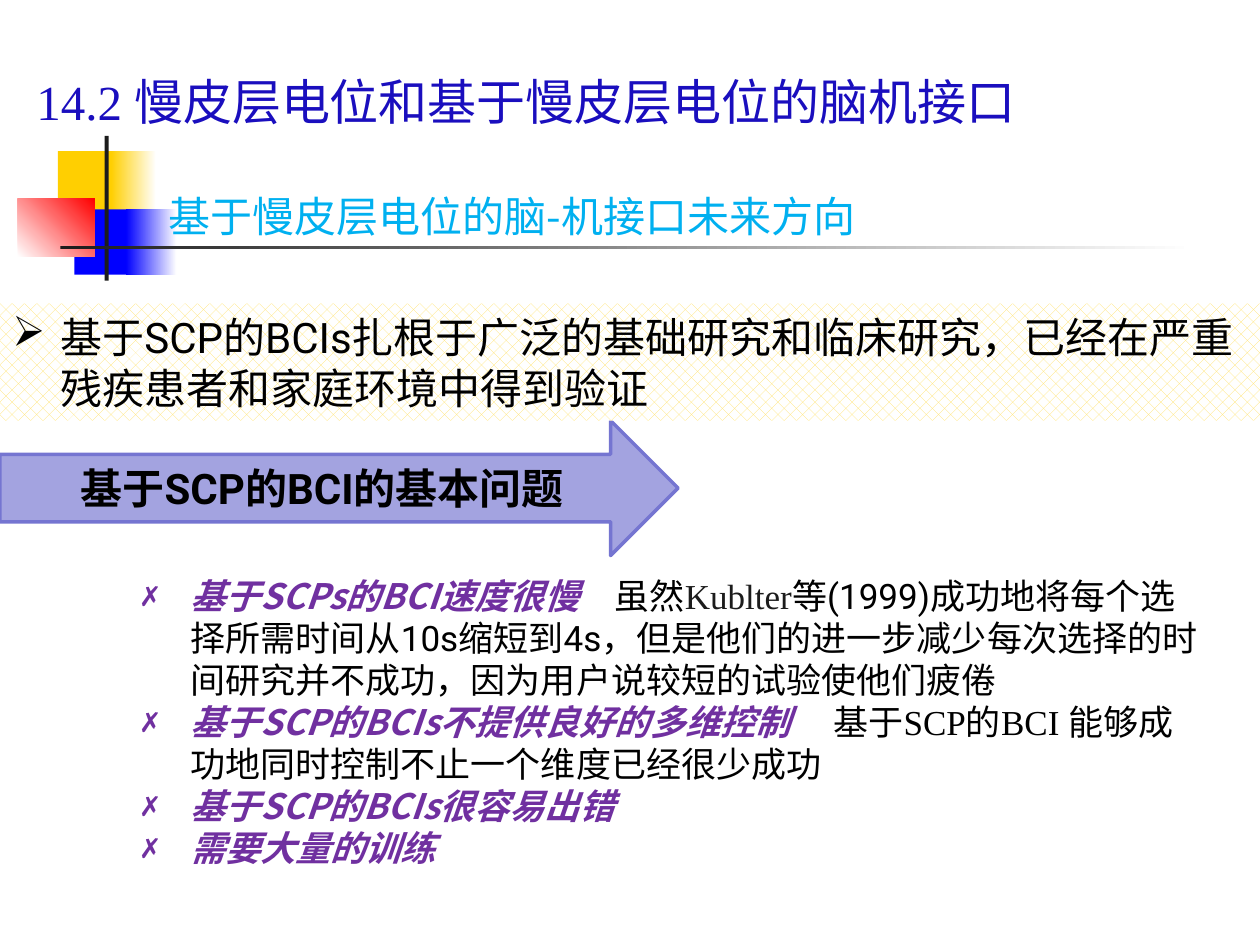
"""Build the slide on the future of SCP-based brain-computer interfaces."""
from dataclasses import dataclass
from typing import Optional

from lxml import etree
from pptx import Presentation, util as u
from pptx.dml.color import RGBColor
from pptx.enum import dml, shapes, text
from pptx.oxml.ns import qn

YELLOW = RGBColor(0xFF, 0xCF, 0x01)
BLUE = RGBColor(0x00, 0x00, 0xFF)
RED = RGBColor(0xFF, 0x00, 0x00)
WHITE = RGBColor(0xFF, 0xFF, 0xFF)
CHARCOAL = RGBColor(0x1C, 0x1C, 0x1C)
BLACK = RGBColor(0x00, 0x00, 0x00)
NAVY = RGBColor(0x1A, 0x0E, 0xBE)
SKY = RGBColor(0x00, 0xB0, 0xF0)
PURPLE = RGBColor(0x70, 0x30, 0xA0)
LILAC = RGBColor(0xA3, 0xA3, 0xE0)
VIOLET = RGBColor(0x75, 0x75, 0xD1)
PALE_GOLD = RGBColor(0xFF, 0xE2, 0x67)
CJK, SANS, SERIF = "Noto Sans CJK SC", "Roboto", "Times New Roman"
LINE_FACTOR = 1.2
INDENT = u.Cm(0.97)


@dataclass
class Box:
    left: float
    top: float
    width: float
    height: float

    def lengths(self) -> list:
        return [u.Cm(v) for v in (self.left, self.top, self.width, self.height)]


@dataclass
class Block:
    box: Box
    color: RGBColor
    fade_to: Optional[RGBColor] = None
    angle: float = 0


@dataclass
class Problem:
    heading: str
    details: tuple = ()


BLOCKS = [
    Block(Box(1.17, 3.05, 1.22, 1.32), YELLOW),
    Block(Box(2.24, 3.05, 0.91, 1.32), YELLOW, WHITE),
    Block(Box(1.5, 4.22, 1.17, 1.32), BLUE),
    Block(Box(2.54, 4.22, 1.02, 1.32), BLUE, WHITE),
    Block(Box(0.36, 4.01, 1.55, 1.17), WHITE, RED, 45),
    Block(Box(2.11, 2.74, 0.08, 2.92), CHARCOAL),
    Block(Box(1.22, 4.95, 22.86, 0.08), CHARCOAL, WHITE),
]

PROBLEMS = [
    Problem("基于SCPs的BCI速度很慢　", (
        ("虽然", SANS, BLACK),
        ("Kublter", SERIF, CHARCOAL),
        ("等(1999)成功地将每个选择所需时间从10s缩短到4s，但是他们的进一步减少每次选择的"
         "时间研究并不成功，因为用户说较短的试验使他们疲倦", SANS, BLACK),
    )),
    Problem("基于SCP的BCIs不提供良好的多维控制　 ", (
        ("基于SCP的BCI 能够成功地同时控制不止一个维度已经很少成功", SERIF, BLACK),
    )),
    Problem("基于SCP的BCIs很容易出错"),
    Problem("需要大量的训练"),
]


def add_text(p, content: str, *, size: float, font: str, color: RGBColor,
             bold: bool = False, italic: bool = False) -> None:
    """Add one formatted run and fix the line pitch of its paragraph."""
    r = p.add_run()
    r.text = content
    f = r.font
    f.size, f.name, f.bold, f.italic = u.Pt(size), font, bold, italic
    f.color.rgb = color
    etree.SubElement(r._r.get_or_add_rPr(), qn("a:ea")).set("typeface", CJK)
    p.line_spacing = u.Pt(size * LINE_FACTOR)


def add_bullet(p, char: str) -> None:
    """Give a paragraph a hanging bullet."""
    p.alignment = text.PP_ALIGN.LEFT
    pPr = p._p.get_or_add_pPr()
    pPr.set("marL", str(INDENT))
    pPr.set("indent", str(-INDENT))
    etree.SubElement(pPr, qn("a:buChar")).set("char", char)


def add_shape(s, kind, box: Box):
    """Add a preset shape without shadow or outline."""
    sp = s.shapes.add_shape(kind, *box.lengths())
    sp.shadow.inherit = False
    sp.line.fill.background()
    sp.text_frame.word_wrap = True
    sp.text_frame.vertical_anchor = text.MSO_ANCHOR.MIDDLE
    return sp


def add_block(s, block: Block) -> None:
    """Draw one solid or fading block of the ornament."""
    fill = add_shape(s, shapes.MSO_SHAPE.RECTANGLE, block.box).fill
    if block.fade_to is None:
        fill.solid()
        fill.fore_color.rgb = block.color
        return
    fill.gradient()
    fill.gradient_angle = block.angle
    for stop, color in zip(fill.gradient_stops, (block.color, block.fade_to)):
        stop.color.rgb = color


def add_textbox(s, box: Box):
    """Add a wrapping text box and return its text frame."""
    tf = s.shapes.add_textbox(*box.lengths()).text_frame
    tf.word_wrap = True
    return tf


def add_title(s) -> None:
    """Place and format the title."""
    sp = s.shapes.title
    sp.left, sp.top, sp.width, sp.height = Box(0.48, 1.12, 23.9, 1.63).lengths()
    tf = sp.text_frame
    tf.auto_size = text.MSO_AUTO_SIZE.NONE
    tf.vertical_anchor = text.MSO_ANCHOR.BOTTOM
    p = tf.paragraphs[0]
    p.alignment = text.PP_ALIGN.LEFT
    add_text(p, "14.2 慢皮层电位和基于慢皮层电位的脑机接口",
             size=28, font=SERIF, color=NAVY)


def add_arrow(s) -> None:
    """Draw the arrow that introduces the problems."""
    sp = add_shape(s, shapes.MSO_SHAPE.RIGHT_ARROW, Box(0, 8.48, 13.67, 2.72))
    sp.fill.solid()
    sp.fill.fore_color.rgb = LILAC
    sp.line.color.rgb = VIOLET
    sp.line.width = u.Pt(2)
    p = sp.text_frame.paragraphs[0]
    p.alignment = text.PP_ALIGN.CENTER
    add_text(p, "基于SCP的BCI的基本问题", size=24, font=SANS, color=BLACK, bold=True)


def add_problems(s) -> None:
    """Write the bulleted list of problems."""
    tf = add_textbox(s, Box(2.62, 11.46, 21.79, 6.25))
    for i, problem in enumerate(PROBLEMS):
        p = tf.add_paragraph() if i else tf.paragraphs[0]
        add_bullet(p, "✗")
        add_text(p, problem.heading, size=20, font=CJK, color=PURPLE,
                 bold=True, italic=True)
        for content, font, color in problem.details:
            add_text(p, content, size=20, font=font, color=color)


def add_band(s) -> None:
    """Draw the patterned band with the main statement."""
    sp = add_shape(s, shapes.MSO_SHAPE.RECTANGLE, Box(0, 6.12, 25.4, 2.36))
    sp.fill.patterned()
    sp.fill.pattern = dml.MSO_PATTERN.PERCENT_30
    sp.fill.fore_color.rgb = PALE_GOLD
    sp.fill.back_color.rgb = WHITE
    p = sp.text_frame.paragraphs[0]
    add_bullet(p, "➢")
    add_text(p, "基于SCP的BCIs扎根于广泛的基础研究和临床研究，已经在严重残疾患者和家庭环境中得到验证",
             size=24, font=SANS, color=BLACK)


def main() -> None:
    """Assemble and save the slide."""
    prs = Presentation()
    prs.slide_width, prs.slide_height = u.Cm(25.4), u.Cm(19.05)
    s = prs.slides.add_slide(prs.slide_layouts[5])
    for block in BLOCKS:
        add_block(s, block)
    add_title(s)
    tf = add_textbox(s, Box(3.15, 3.71, 16.33, 1.27))
    add_text(tf.paragraphs[0], "基于慢皮层电位的脑-机接口未来方向",
             size=24, font=CJK, color=SKY)
    add_arrow(s)
    add_problems(s)
    add_band(s)
    prs.save("out.pptx")


if __name__ == "__main__":
    main()
